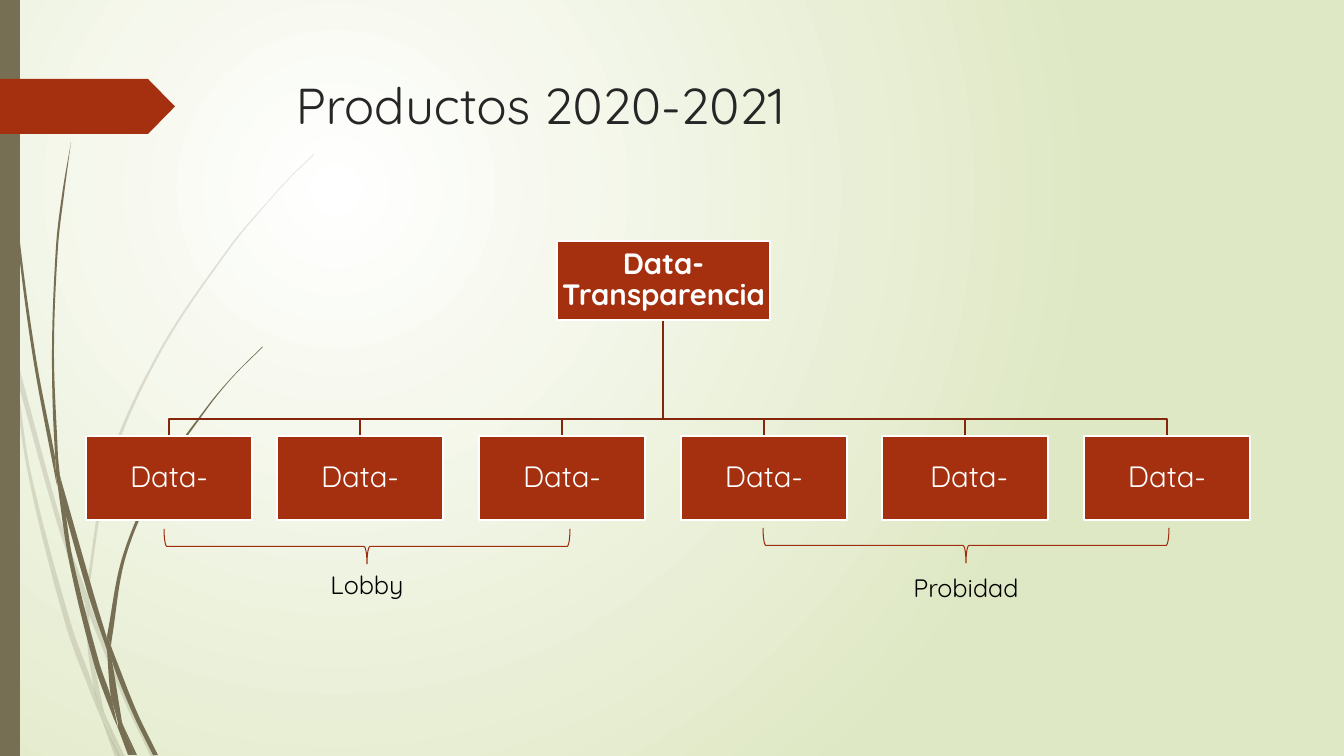
import math

from lxml import etree
from pptx import Presentation
from pptx.dml.color import RGBColor
from pptx.enum.shapes import MSO_SHAPE
from pptx.enum.text import MSO_ANCHOR, PP_ALIGN
from pptx.oxml.ns import qn
from pptx.util import Pt

RECTANGLE, PENTAGON, BRACE = MSO_SHAPE.RECTANGLE, MSO_SHAPE.PENTAGON, MSO_SHAPE.RIGHT_BRACE
TOP, MIDDLE = MSO_ANCHOR.TOP, MSO_ANCHOR.MIDDLE
LEFT, CENTER = PP_ALIGN.LEFT, PP_ALIGN.CENTER

WHITE = RGBColor(0xFF, 0xFF, 0xFF)
BLACK = RGBColor(0x00, 0x00, 0x00)
CHARCOAL = RGBColor(0x26, 0x26, 0x26)
PALE_GREEN = RGBColor(0xDF, 0xE8, 0xC4)
OLIVE = RGBColor(0x76, 0x6F, 0x54)
RUST = RGBColor(0xA5, 0x30, 0x10)
BRANCH_RED = RGBColor(0x84, 0x26, 0x0D)
BRACE_RED = RGBColor(0x9E, 0x2E, 0x0F)
FONT = "Quicksand"

# Content
TITLE = "Productos 2020-2021"
ROOT = "Data-Transparencia"
PRODUCTS = ["Data-", "Data-", "Data-", "Data-", " Data-", "Data-"]
# label, centre x, brace top, label top
GROUPS = [("Lobby", 367, 529, 564), ("Probidad", 966, 528, 567)]

# Grass blades: the knots of one edge, then of the edge leading back
PALE_BLADES = [
    ([(11, 353), (9, 325), (0, 284)], [(0, 301), (10, 347)]),
    ([(17, 379), (58, 526), (85, 604)], [(86, 591), (62, 524), (14, 348)]),
    ([(89, 601), (93, 612), (128, 698), (156, 757)], [(151, 757), (124, 700), (89, 615)]),
    ([(106, 717), (120, 757)], [(125, 757)]),
    ([(11, 353), (28, 474), (66, 626), (93, 699), (102, 720)],
     [(100, 713), (94, 688), (71, 624), (31, 473), (17, 379)]),
    ([(85, 604), (88, 651), (94, 688), (97, 698), (106, 717)],
     [(104, 712), (92, 651), (89, 615)]),
    ([(89, 601), (89, 589), (111, 466), (161, 352), (231, 247), (270, 200), (292, 176), (314, 155)],
     [(314, 154), (291, 176), (270, 199), (230, 246), (159, 351), (108, 465), (86, 589)]),
    ([(102, 720), (115, 757)], [(120, 757)]),
    ([(89, 615), (89, 601)], [(86, 591), (85, 604)]),
    ([(94, 688), (97, 698), (106, 717), (120, 757)], [(119, 757), (102, 720), (100, 713)]),
]
DARK_BLADES = [
    ([(3, 0), (4, 48), (7, 111), (17, 235), (33, 358), (56, 481), (57, 485)],
     [(55, 461), (55, 457), (36, 358), (19, 234), (8, 110), (5, 48), (4, 0)]),
    ([(64, 509), (89, 597), (107, 650)], [(107, 638), (94, 595), (60, 476)]),
    ([(111, 646), (112, 661), (133, 714), (153, 755)], [(158, 755), (137, 712), (114, 654)]),
    ([(57, 481), (69, 561), (94, 664), (112, 714), (118, 728)],
     [(117, 723), (111, 697), (99, 662), (73, 560), (65, 509)]),
    ([(71, 142), (62, 195), (56, 247), (52, 352), (55, 453), (60, 476)],
     [(58, 457), (54, 352), (58, 247), (64, 195), (71, 142)]),
    ([(123, 725), (134, 755)], [(137, 755)]),
    ([(55, 453), (57, 481), (65, 509)], [(60, 476)]),
    ([(111, 646), (112, 638), (126, 556), (159, 480), (207, 409), (233, 377), (263, 347)],
     [(262, 347), (233, 376), (206, 408), (157, 478), (123, 555), (107, 636)]),
    ([(118, 728), (128, 755)], [(132, 755)]),
    ([(107, 650), (111, 697), (117, 712), (123, 725)], [(122, 722), (112, 661), (110, 656)]),
    ([(107, 636), (107, 650), (112, 661)], [(111, 646)]),
    ([(111, 697), (118, 723), (118, 728), (131, 755)], [(134, 755), (123, 725), (117, 712)]),
]

# Layout in pixels
SCALE = 914400 / 100.8
SLIDE_W, SLIDE_H = 1344, 756
ROOT_BOX = (557, 241, 213, 79)
ROOT_X = 663
PRODUCT_TOP, PRODUCT_W, PRODUCT_H = 436, 166, 84
FIRST_LEFT, SECOND_LEFT, LAST_LEFT = 86, 277, 1084
BUS_Y = 419
BRACE_W, BRACE_H = 406, 35
LABEL_W, LABEL_H = 320, 40


def px(length):
    """Turn pixels into EMU."""
    return round(length * SCALE)


def paint(shape, fill=None, line=None, width=1.25):
    """Set fill and outline, and remove the shadow."""
    shape.shadow.inherit = False
    if fill is None:
        shape.fill.background()
    else:
        shape.fill.solid()
        shape.fill.fore_color.rgb = fill
    if line is None:
        shape.line.fill.background()
    else:
        shape.line.color.rgb = line
        shape.line.width = Pt(width)
    return shape


def add_preset(kind, box, **colours):
    """Add a painted preset shape."""
    return paint(slide.shapes.add_shape(kind, *map(px, box)), **colours)


def add_outline(points, close, **colours):
    """Add a painted freeform through pixel points."""
    start, *rest = [(px(x), px(y)) for x, y in points]
    builder = slide.shapes.build_freeform(*start)
    builder.add_line_segments(rest, close=close)
    return paint(builder.convert_to_shape(), **colours)


def write(shape, text, size, colour, align=LEFT, anchor=TOP, bold=False):
    """Write one formatted paragraph in a shape."""
    frame = shape.text_frame
    frame.word_wrap = True
    frame.vertical_anchor = anchor
    frame.text = text
    paragraph = frame.paragraphs[0]
    paragraph.alignment = align
    font = paragraph.runs[0].font
    font.name, font.size, font.bold = FONT, Pt(size), bold
    font.color.rgb = colour
    return frame


def add_label(box, *args, **style):
    """Add a text box with one paragraph."""
    write(slide.shapes.add_textbox(*map(px, box)), *args, **style)


def add_node(box, text, bold=False):
    """Add one box of the product tree."""
    node = add_preset(RECTANGLE, box, fill=RUST, line=WHITE)
    frame = write(node, text, 21, WHITE, CENTER, MIDDLE, bold)
    frame.margin_left = frame.margin_right = frame.margin_top = frame.margin_bottom = px(1)
    frame.paragraphs[0].line_spacing = 0.9


def handle(knot, before, after, reach):
    """Place a curve handle at a knot, along the chord of its neighbours."""
    dx, dy = after[0] - before[0], after[1] - before[1]
    share = reach / (math.hypot(dx, dy) or 1)
    return knot[0] + dx * share, knot[1] + dy * share


def bend(segments, knots):
    """Turn the straight segments between knots into smooth curves."""
    padded = [knots[0], *knots, knots[-1]]
    for segment, before, start, end, after in zip(
            segments, padded, padded[1:], padded[2:], padded[3:]):
        reach = math.dist(start, end) / 3
        segment.tag = qn("a:cubicBezTo")
        handles = handle(start, before, end, reach), handle(end, start, after, -reach)
        for i, (x, y) in enumerate(handles):
            segment.insert(i, etree.Element(qn("a:pt"), {"x": str(round(x)), "y": str(round(y))}))


def add_blade(edge, edge_back, opacity=100):
    """Draw one curved piece of grass between two edges."""
    blade = add_outline(edge + edge_back, True, fill=OLIVE)
    root = blade.element
    knots = [(int(pt.get("x")), int(pt.get("y"))) for pt in root.iter(qn("a:pt"))]
    segments = list(root.iter(qn("a:lnTo")))
    turn = len(edge)
    bend(segments[:turn - 1], knots[:turn])
    bend(segments[turn:], knots[turn:])
    if opacity < 100:
        colour = root.find(".//" + qn("a:srgbClr"))
        etree.SubElement(colour, qn("a:alpha")).set("val", str(opacity * 1000))


def set_background():
    """Give the slide a radial gradient."""
    fill = slide.background.fill
    fill.gradient()
    for stop, colour in zip(fill.gradient_stops, (WHITE, PALE_GREEN)):
        stop.color.rgb = colour
    gradient = slide.element.find(".//" + qn("a:gradFill"))
    radial = etree.Element(qn("a:path"), {"path": "circle"})
    etree.SubElement(radial, qn("a:fillToRect"),
                     {"l": "50000", "t": "50000", "r": "100000", "b": "100000"})
    gradient.replace(gradient.find(qn("a:lin")), radial)


prs = Presentation()
prs.slide_width, prs.slide_height = px(SLIDE_W), px(SLIDE_H)
slide = prs.slides.add_slide(prs.slide_layouts[6])

set_background()
for blades, blade_opacity in ((PALE_BLADES, 20), (DARK_BLADES, 100)):
    for edges in blades:
        add_blade(*edges, opacity=blade_opacity)
add_preset(RECTANGLE, (0, 0, 20, SLIDE_H), fill=OLIVE)
title_arrow = add_preset(PENTAGON, (0, 79, 175, 55), fill=RUST)
title_arrow.adjustments[0] = 0.49
add_label((286, 69, 983, 141), TITLE, 36, CHARCOAL)

gaps = len(PRODUCTS) - 2
product_lefts = [FIRST_LEFT] + [
    SECOND_LEFT + round((LAST_LEFT - SECOND_LEFT) * i / gaps) for i in range(gaps + 1)]
for left in product_lefts:
    product_x = left + PRODUCT_W / 2
    add_outline([(ROOT_X, ROOT_BOX[1] + ROOT_BOX[3]), (ROOT_X, BUS_Y), (product_x, BUS_Y),
                 (product_x, PRODUCT_TOP)], False, line=BRANCH_RED)
add_node(ROOT_BOX, ROOT, bold=True)
for left, product in zip(product_lefts, PRODUCTS):
    add_node((left, PRODUCT_TOP, PRODUCT_W, PRODUCT_H), product)

for group, centre_x, brace_top, label_top in GROUPS:
    centre_y = brace_top + BRACE_H / 2
    brace = add_preset(BRACE, (centre_x - BRACE_H / 2, centre_y - BRACE_W / 2, BRACE_H, BRACE_W),
                       line=BRACE_RED, width=0.75)
    brace.rotation = 90
    add_label((centre_x - LABEL_W / 2, label_top, LABEL_W, LABEL_H), group, 18, BLACK, align=CENTER)

prs.save("out.pptx")
